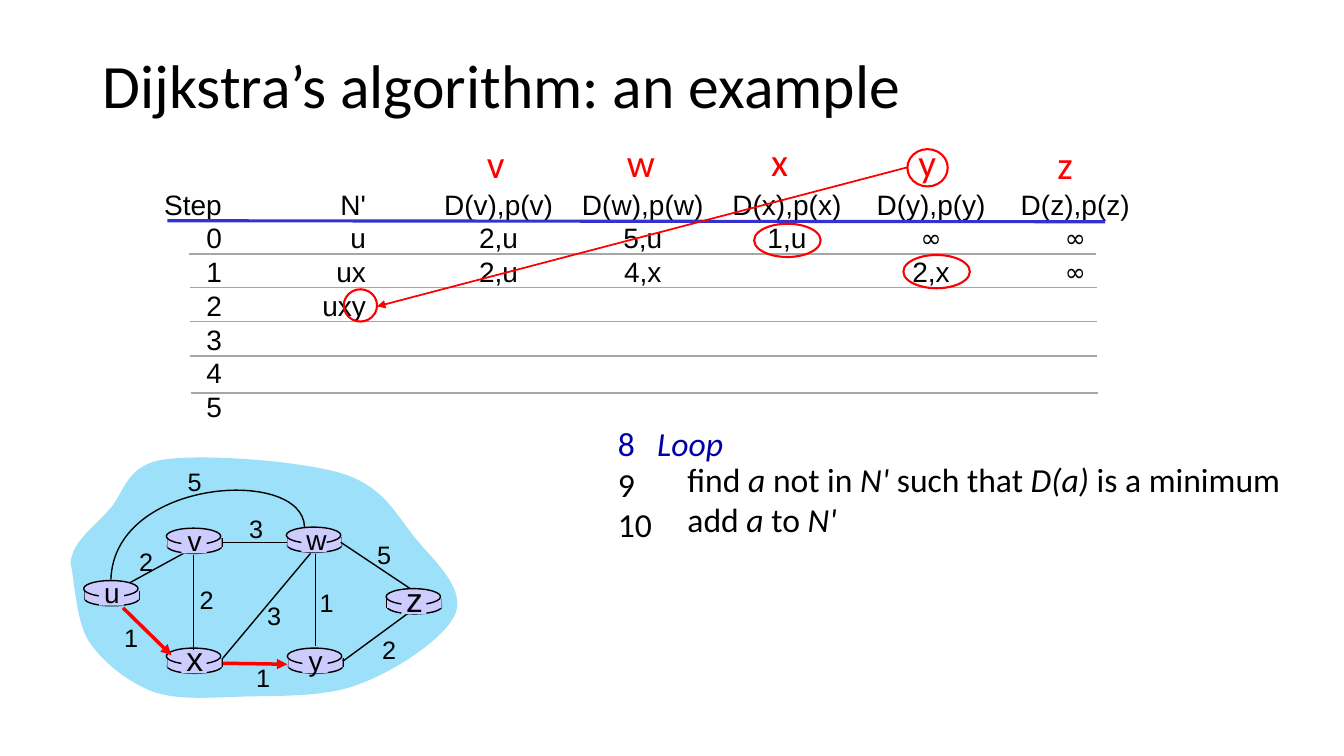
import pptx
import pptx.enum.shapes
import pptx.enum.text
import pptx.oxml
import pptx.oxml.ns
import pptx.util
from pptx.dml.color import RGBColor
from pptx.util import Inches

SHAPE = pptx.enum.shapes.MSO_SHAPE
ALIGN = pptx.enum.text.PP_ALIGN
MIDDLE = pptx.enum.text.MSO_ANCHOR.MIDDLE
COLORS = {"black": "000000", "red": "FF0000", "blue": "3333CC", "navy": "0000A8",
          "gray": "A6A6A6", "cloud": "9CE0FA", "router": "CCCCFF"}

# Content: text, routing table, pseudocode
TITLE = "Dijkstra’s algorithm: an example"
ROWS = [
    ["Step", "N'", "D(v),p(v)", "D(w),p(w)", "D(x),p(x)", "D(y),p(y)", "D(z),p(z)"],
    ["0", "u", "2,u", "5,u", "1,u", "∞", "∞"],
    ["1", "ux", "2,u", "4,x", "", "2,x", "∞"],
    ["2", "uxy"], ["3"], ["4"], ["5"],
]
COLUMN_WIDTHS = [0.7, 2.03] + [1.43] * 5
SET_COLUMN_GAP = 0.6
TABLE_LEFT, TABLE_TOP, ROW_HEIGHT = 1.5, 1.87, 0.335
RULES = [(1.87, 2.52), (1.88, 2.85), (1.88, 3.19), (1.88, 3.53), (1.89, 3.9)]
RULE_LENGTH = 9
DESTINATIONS = {"v": (4.73, 1.33, 0.38), "w": (6.12, 1.32, 0.48), "x": (7.55, 1.31, 0.37),
                "y": (9.01, 1.32, 0.38), "z": (10.39, 1.34, 0.36)}
LINE_NUMBERS = [[("8\t", "navy", False), ("Loop", "navy", True)],
                [("9", "black", False)], [("10", "black", False)]]
LOOP_BODY = [
    [("find ", "black", False), ("a", "black", True), (" not in ", "black", False),
     ("N' ", "black", True), ("such that ", "black", False), ("D(a) ", "black", True),
     ("is a minimum", "black", False)],
    [("add ", "black", False), ("a", "black", True), (" to ", "black", False),
     ("N'", "black", True)],
]

# Content: network graph and red marks
CLOUD = [(0.7, 5.59),
         (0.71, 5.38), (0.93, 5.23), (1.08, 5.06), (1.24, 4.89), (1.24, 4.62), (1.62, 4.56),
         (2.01, 4.5), (2.98, 4.57), (3.4, 4.7), (3.81, 4.83), (3.93, 5.11), (4.12, 5.34),
         (4.31, 5.57), (4.61, 5.83), (4.52, 6.08), (4.43, 6.32), (3.93, 6.65), (3.58, 6.78),
         (3.24, 6.92), (2.77, 6.9), (2.43, 6.91), (2.08, 6.92), (1.77, 6.95), (1.51, 6.86),
         (1.26, 6.76), (1.02, 6.57), (0.88, 6.36), (0.75, 6.15), (0.74, 5.75), (0.7, 5.59)]
ARC_U_W = [(3.02, 5.23), (3.01, 4.63), (1.13, 4.74), (1.1, 5.75)]
ROUTERS = {"u": (0.83, 5.76, 20), "x": (1.65, 6.43, 24), "v": (1.65, 5.24, 20),
           "w": (2.84, 5.23, 20), "y": (2.85, 6.43, 20), "z": (3.83, 5.84, 24)}
EDGES = [((1.29, 5.78), (1.82, 5.49)), ((3.13, 5.5), (3.13, 6.41)),
         ((1.92, 5.51), (1.92, 6.45)), ((2.21, 6.53), (3.08, 5.49)),
         ((3.4, 6.56), (4.04, 6.09)), ((2.85, 5.38), (2.21, 5.38)),
         ((4.07, 5.84), (3.38, 5.38))]
COSTS = [("2", 1.28, 5.37), ("2", 1.88, 5.75), ("1", 1.13, 6.12), ("3", 2.55, 5.91),
         ("1", 2.44, 6.52), ("1", 3.07, 5.78), ("2", 3.69, 6.24), ("5", 3.64, 5.3),
         ("3", 2.37, 5.04), ("5", 1.76, 4.58)]
CIRCLES = [(7.48, 2.22, 0.66, 0.33), (8.96, 2.53, 0.66, 0.33),
           (9, 1.48, 0.4, 0.37), (3.41, 2.87, 0.33, 0.32)]
ARROWS = [((9, 1.66), (3.74, 3.04), 1.25), ((1.22, 6.03), (1.7, 6.5), 2.5),
          ((2.21, 6.58), (2.85, 6.59), 2.5)]

deck = pptx.Presentation()
deck.slide_width, deck.slide_height = Inches(13.33), Inches(7.5)
page = deck.slides.add_slide(deck.slide_layouts[6])


def rgb(name):
    return RGBColor.from_string(COLORS[name])


def add_span(para, text, size, font="Arial", color="black", italic=False):
    span = para.add_run()
    span.text = text
    span.font.size, span.font.name = pptx.util.Pt(size), font
    span.font.italic = italic
    span.font.color.rgb = rgb(color)


def add_text(place, paragraphs, size, font="Arial", align=ALIGN.LEFT, wrap=False):
    box = page.shapes.add_textbox(*map(Inches, place))
    frame = box.text_frame
    frame.word_wrap = wrap
    for number, spans in enumerate(paragraphs):
        para = frame.add_paragraph() if number else frame.paragraphs[0]
        para.alignment = align
        for text, color, italic in spans:
            add_span(para, text, size, font, color, italic)
    return frame


def paint(shape, fill=None, line=None, width=1):
    shape.shadow.inherit = False
    if fill:
        shape.fill.solid()
        shape.fill.fore_color.rgb = rgb(fill)
    else:
        shape.fill.background()
    if line:
        shape.line.color.rgb = rgb(line)
        shape.line.width = pptx.util.Pt(width)
    else:
        shape.line.fill.background()


def add_shape(kind, place, **look):
    paint(page.shapes.add_shape(kind, *map(Inches, place)), **look)


def add_line(start, end, color="black", width=1, arrow=False):
    line = page.shapes.add_connector(pptx.enum.shapes.MSO_CONNECTOR.STRAIGHT,
                                     *map(Inches, start + end))
    line.line.color.rgb = rgb(color)
    line.line.width = pptx.util.Pt(width)
    properties = line.line._get_or_add_ln()
    if arrow:
        head = pptx.oxml.parse_xml(f'<a:tailEnd {pptx.oxml.ns.nsdecls("a")} type="triangle"/>')
        properties.append(head)
    effects = pptx.oxml.parse_xml(f'<a:effectLst {pptx.oxml.ns.nsdecls("a")}/>')
    properties.addnext(effects)


def add_curve(points, close, **look):
    """Draw a freeform whose points, after the first, are taken by threes as cubic curves."""
    corners = [(Inches(x), Inches(y)) for x, y in points]
    builder = page.shapes.build_freeform(*corners[0])
    builder.add_line_segments(corners[1:], close=close)
    shape = builder.convert_to_shape()
    segments = list(shape._element.iter(pptx.oxml.ns.qn("a:lnTo")))
    for first in range(0, len(points) - 1, 3):
        curve = pptx.oxml.parse_xml(f'<a:cubicBezTo {pptx.oxml.ns.nsdecls("a")}/>')
        segments[first].addprevious(curve)
        for segment in segments[first:first + 3]:
            curve.append(segment[0])
            segment.getparent().remove(segment)
    paint(shape, **look)


# Title
title = add_text((0.92, 0.39, 12.23, 0.98), [[(TITLE, "black", False)]], 44, "Calibri", wrap=True)
title.vertical_anchor = MIDDLE
title.paragraphs[0].line_spacing = 0.9

# Routing table
table = page.shapes.add_table(
    len(ROWS), len(COLUMN_WIDTHS), Inches(TABLE_LEFT), Inches(TABLE_TOP),
    Inches(sum(COLUMN_WIDTHS)), Inches(ROW_HEIGHT * len(ROWS))).table
table.first_row = table.horz_banding = False
style = table._tbl.tblPr.find(pptx.oxml.ns.qn("a:tableStyleId"))
style.text = "{2D5ABB26-0587-4C30-8999-92F81FD0307C}"
for column, width in zip(table.columns, COLUMN_WIDTHS):
    column.width = Inches(width)
for row, values in enumerate(ROWS):
    table.rows[row].height = Inches(ROW_HEIGHT)
    for column in range(len(COLUMN_WIDTHS)):
        cell = table.cell(row, column)
        cell.fill.background()
        cell.margin_left = cell.margin_right = cell.margin_top = cell.margin_bottom = 0
        if column == 1:
            cell.margin_right = Inches(SET_COLUMN_GAP)
        cell.vertical_anchor = MIDDLE
        para = cell.text_frame.paragraphs[0]
        para.alignment = ALIGN.RIGHT if column < 2 else ALIGN.CENTER
        text = values[column] if column < len(values) else ""
        if text:
            infinite = text == "∞"
            add_span(para, text, 18 if infinite else 20, "Comic Neue" if infinite else "Arial")

# Table rules and destination letters
add_line((1.66, 2.19), (10.96, 2.2), "blue", 2.25)
for left, top in RULES:
    add_line((left, top), (left + RULE_LENGTH, top), "gray")
for letter, (left, top, width) in DESTINATIONS.items():
    add_text((left, top, width, 0.57), [[(letter, "red", False)]], 28, "Calibri")

# Pseudocode
numbers = add_text((6.03, 4.15, 1.34, 1.3), LINE_NUMBERS, 24, "Calibri")
tabs = pptx.oxml.parse_xml(f'<a:tabLst {pptx.oxml.ns.nsdecls("a")}>'
                           f'<a:tab pos="{Inches(0.39)}" algn="l"/></a:tabLst>')
numbers.paragraphs[0]._p.get_or_add_pPr().append(tabs)
add_text((6.72, 4.5, 6.34, 0.91), LOOP_BODY, 24, "Calibri")

# Network graph: cloud, routers, links, names, costs
add_curve(CLOUD, True, fill="cloud")
for left, top, size in ROUTERS.values():
    add_shape(SHAPE.OVAL, (left + 0.01, top + 0.11, 0.54, 0.14), fill="router", line="black")
    for side in (left + 0.01, left + 0.55):
        add_line((side, top + 0.1), (side, top + 0.19))
    add_shape(SHAPE.RECTANGLE, (left + 0.01, top + 0.1, 0.54, 0.09), fill="router")
    add_shape(SHAPE.OVAL, (left, top, 0.54, 0.16), fill="router", line="black")
for start, end in EDGES:
    add_line(start, end)
add_curve(ARC_U_W, False, line="black")
for name, (left, top, size) in ROUTERS.items():
    add_shape(SHAPE.RECTANGLE, (left + 0.15, top + 0.02, 0.25, 0.23), fill="router")
    height, middle = (0.5, 0.1) if size == 24 else (0.43, 0.12)
    add_text((left + 0.1, top + middle - height / 2, 0.36, height),
             [[(name, "black", False)]], size, align=ALIGN.CENTER)
for cost, left, top in COSTS:
    add_text((left, top, 0.34, 0.4), [[(cost, "black", False)]], 18, align=ALIGN.CENTER)

# Red circles and arrows
for place in CIRCLES:
    add_shape(SHAPE.OVAL, place, line="red", width=1.5)
for start, end, width in ARROWS:
    add_line(start, end, "red", width, arrow=True)

deck.save("out.pptx")
